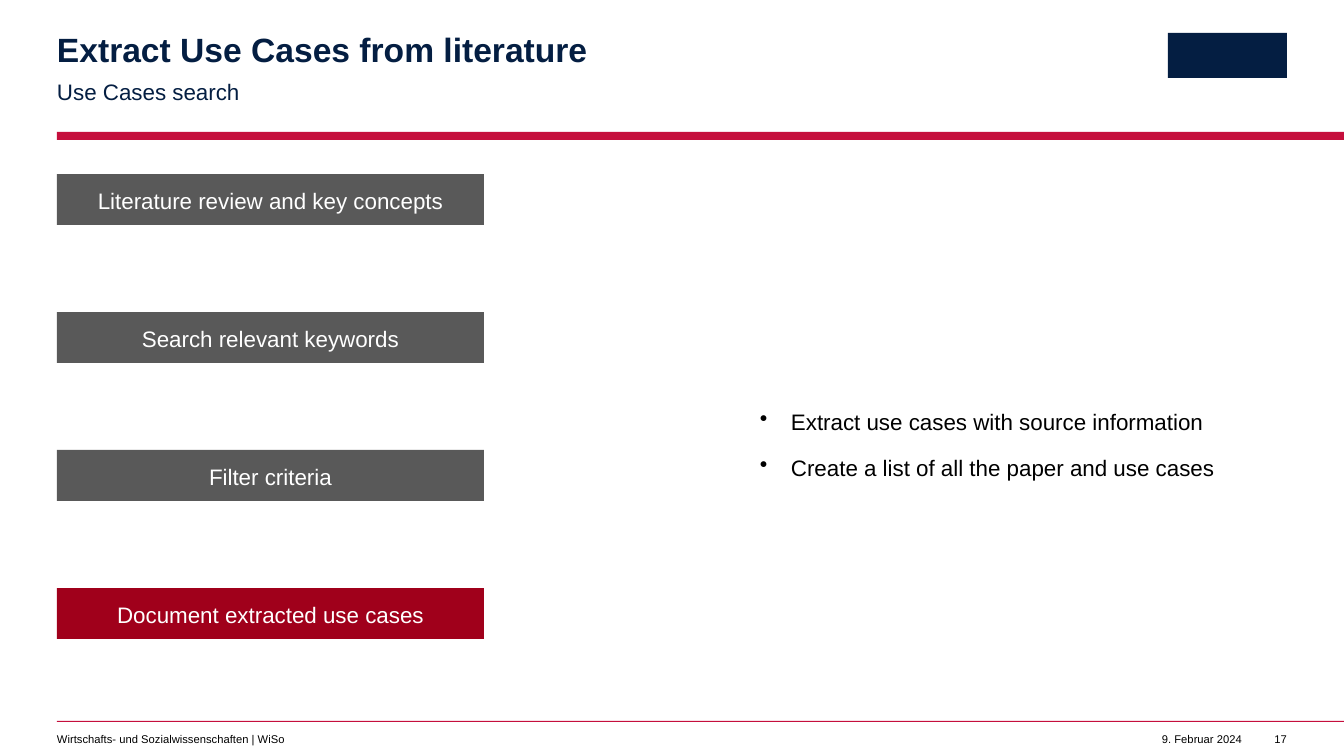
import dataclasses

import lxml.etree
import pptx
import pptx.dml.color
import pptx.enum.shapes
import pptx.enum.text
import pptx.oxml.ns
import pptx.util

EMU_PER_PX = 914400 / 100.8
ALIGN = pptx.enum.text.PP_ALIGN
ANCHOR = pptx.enum.text.MSO_ANCHOR


@dataclasses.dataclass(frozen=True)
class Theme:
    font: str = "Arial"
    navy: str = "041E42"
    crimson: str = "C50F3C"
    active: str = "A0001B"
    gray: str = "595959"
    black: str = "000000"
    white: str = "FFFFFF"
    title_size: int = 24
    body_size: int = 16
    footer_size: int = 8


def px(length):
    return pptx.util.Emu(round(length * EMU_PER_PX))


def rgb(color):
    return pptx.dml.color.RGBColor.from_string(color)


def write_text(frame, text, *, font, size, color, bold=False, align=ALIGN.LEFT,
               anchor=ANCHOR.TOP, line_spacing=1.0, space_after=0, inset=0, bullet_indent=0):
    frame.word_wrap = True
    frame.auto_size = pptx.enum.text.MSO_AUTO_SIZE.NONE
    frame.vertical_anchor = anchor
    frame.margin_left = frame.margin_right = px(inset)
    frame.margin_top = frame.margin_bottom = px(inset)
    frame.text = text
    for paragraph in frame.paragraphs:
        if bullet_indent:
            properties = paragraph._p.get_or_add_pPr()
            properties.set("marL", str(px(bullet_indent)))
            properties.set("indent", str(-px(bullet_indent)))
            bullet = lxml.etree.SubElement(properties, pptx.oxml.ns.qn("a:buChar"))
            bullet.set("char", "•")
        paragraph.alignment = align
        paragraph.line_spacing = line_spacing
        paragraph.space_before = pptx.util.Pt(0)
        paragraph.space_after = pptx.util.Pt(space_after)
        paragraph.font.name = font
        paragraph.font.size = pptx.util.Pt(size)
        paragraph.font.bold = bold
        paragraph.font.color.rgb = rgb(color)


class SlideBuilder:
    def __init__(self, slide, theme):
        self.slide = slide
        self.theme = theme

    def title(self, text, left, top, width, height):
        heading = self.slide.shapes.title
        heading.left, heading.top = px(left), px(top)
        heading.width, heading.height = px(width), px(height)
        write_text(heading.text_frame, text, font=self.theme.font, size=self.theme.title_size,
                   color=self.theme.navy, bold=True, line_spacing=0.9)

    def label(self, text, left, top, width, height, **text_format):
        box = self.slide.shapes.add_textbox(px(left), px(top), px(width), px(height))
        write_text(box.text_frame, text, font=self.theme.font, **text_format)

    def block(self, left, top, width, height, fill):
        block = self.slide.shapes.add_shape(
            pptx.enum.shapes.MSO_SHAPE.RECTANGLE, px(left), px(top), px(width), px(height))
        block.shadow.inherit = False
        block.fill.solid()
        block.fill.fore_color.rgb = rgb(fill)
        block.line.fill.background()
        return block

    def step(self, text, left, top, width, height, fill):
        step = self.block(left, top, width, height, fill)
        write_text(step.text_frame, text, font=self.theme.font, size=self.theme.body_size,
                   color=self.theme.white, align=ALIGN.CENTER, anchor=ANCHOR.MIDDLE,
                   line_spacing=1.1, space_after=12, inset=20)


def main():
    theme = Theme()
    deck = pptx.Presentation()
    deck.slide_width, deck.slide_height = px(1344), px(756)
    builder = SlideBuilder(deck.slides.add_slide(deck.slide_layouts[5]), theme)

    margin = 57
    rule_width = 1344 - margin
    builder.block(margin, 132, rule_width, 8, theme.crimson)
    builder.block(margin, 721, rule_width, 1, theme.crimson)
    builder.block(1168, 33, 119, 45, theme.navy)

    builder.title("Extract Use Cases from literature", margin, 33, 854, 74)
    builder.label("Use Cases search", margin, 76, 755, 50, size=theme.body_size,
                  color=theme.navy, line_spacing=1.1)

    steps = ["Literature review and key concepts", "Search relevant keywords",
             "Filter criteria", "Document extracted use cases"]
    active_step = steps[-1]
    for index, step in enumerate(steps):
        fill = theme.active if step == active_step else theme.gray
        builder.step(step, margin, 174 + 138 * index, 427, 51, fill)

    findings = ["Extract use cases with source information",
                "Create a list of all the paper and use cases"]
    builder.label("\n".join(findings), 760, 405, 579, 256, size=theme.body_size,
                  color=theme.black, line_spacing=1.1, space_after=12, bullet_indent=31)

    footer = [("Wirtschafts- und Sozialwissenschaften | WiSo", margin, 603, ALIGN.LEFT),
              ("9. Februar 2024", 1148, 94, ALIGN.RIGHT),
              ("17", 1266, 21, ALIGN.RIGHT)]
    for text, left, width, align in footer:
        builder.label(text, left, 732, width, 13, size=theme.footer_size,
                      color=theme.black, align=align)

    deck.save("out.pptx")


if __name__ == "__main__":
    main()
